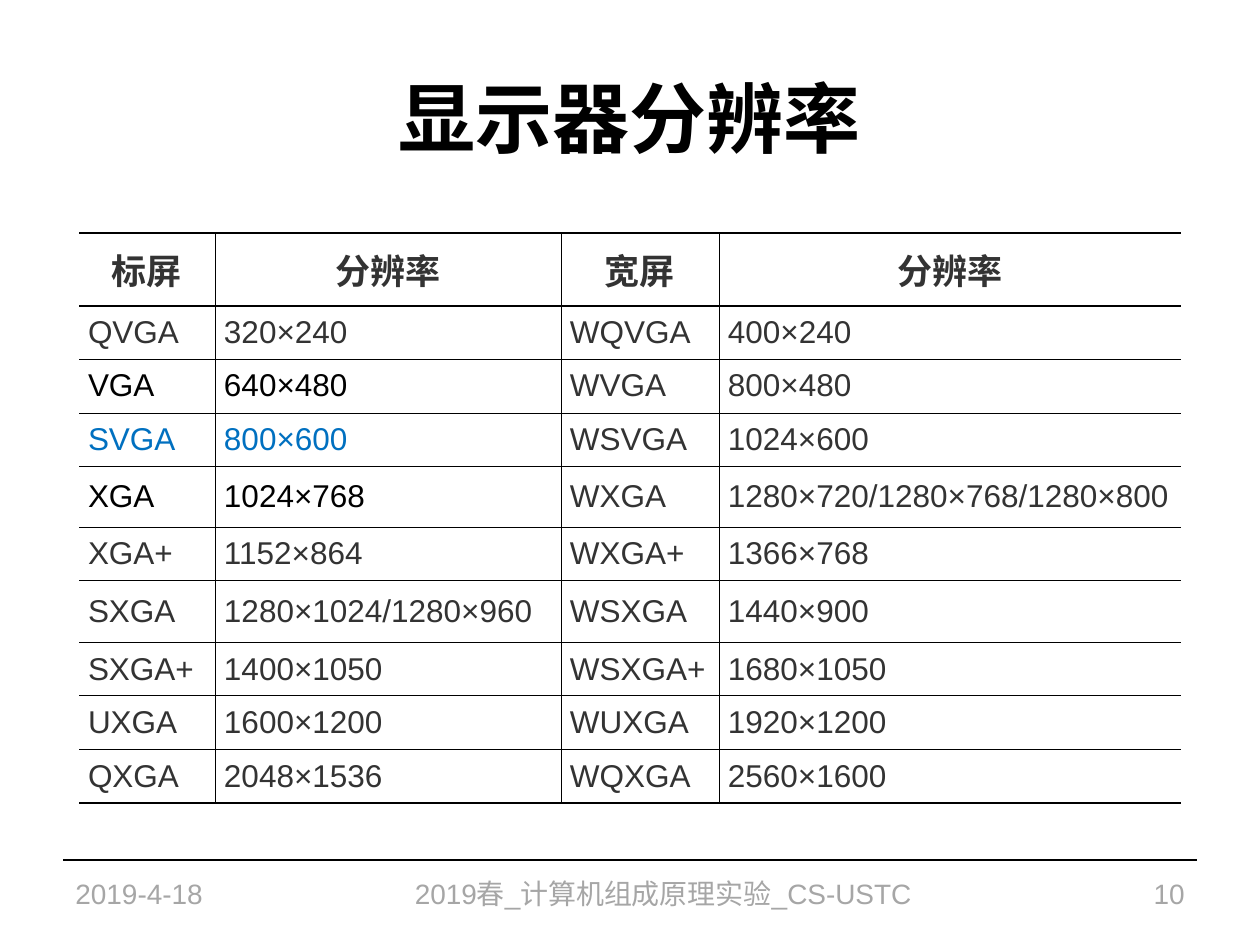
from lxml import etree
from pptx import Presentation
from pptx import util as u
from pptx.dml.color import RGBColor
from pptx.enum import shapes, text
from pptx.oxml.ns import qn

SCALE = 914400 / 126
FONT = "Arial"
COLORS = {
    "black": "000000",
    "white": "FFFFFF",
    "body": "333333",
    "blue": "0070C0",
    "footer": "A6A6A6",
}
LEFT, CENTER, RIGHT = text.PP_ALIGN.LEFT, text.PP_ALIGN.CENTER, text.PP_ALIGN.RIGHT
THIN, THICK = 0.45, 1.08

COL_WIDTHS = [136, 346, 158, 462]
ROW_HEIGHTS = [73, 53, 54, 53, 61, 54, 62, 53, 54, 53]
ROWS = [
    ["标屏", "分辨率", "宽屏", "分辨率"],
    ["QVGA", "320×240", "WQVGA", "400×240"],
    ["VGA", "640×480", "WVGA", "800×480"],
    ["SVGA", "800×600", "WSVGA", "1024×600"],
    ["XGA", "1024×768", "WXGA", "1280×720/1280×768/1280×800"],
    ["XGA+", "1152×864", "WXGA+", "1366×768"],
    ["SXGA", "1280×1024/1280×960", "WSXGA", "1440×900"],
    ["SXGA+", "1400×1050", "WSXGA+", "1680×1050"],
    ["UXGA", "1600×1200", "WUXGA", "1920×1200"],
    ["QXGA", "2048×1536", "WQXGA", "2560×1600"],
]
STANDARD_COLORS = {"VGA": "black", "SVGA": "blue", "XGA": "black"}
FOOTERS = [
    (63, 294, "2019-4-18", LEFT),
    (357, 620, "2019春_计算机组成原理实验_CS-USTC ", CENTER),
    (977, 220, "10", RIGHT),
]


def px(n):
    return u.Emu(round(n * SCALE))


def rgb(name):
    return RGBColor.from_string(COLORS[name])


def write(tf, content, size, color, align=LEFT, bold=False):
    p = tf.paragraphs[0]
    p.alignment = align
    r = p.add_run()
    r.text = content
    r.font.name = FONT
    r.font.size = u.Pt(size)
    r.font.bold = bold
    r.font.color.rgb = rgb(color)


def add_text(s, box, content, size, color, align, bold=False):
    sp = s.shapes.add_textbox(*map(px, box))
    tf = sp.text_frame
    tf.word_wrap = True
    tf.vertical_anchor = text.MSO_ANCHOR.MIDDLE
    write(tf, content, size, color, align, bold)


def add_rule(s, x1, x2, y):
    sp = s.shapes.add_connector(shapes.MSO_CONNECTOR.STRAIGHT, px(x1), px(y), px(x2), px(y))
    sp.line.color.rgb = rgb("black")
    sp.line.width = u.Pt(0.75)
    etree.SubElement(sp._element.spPr, qn("a:effectLst"))


def set_borders(cell, widths):
    tc_pr = cell._tc.get_or_add_tcPr()
    for i, (side, width) in enumerate(widths.items()):
        ln = etree.Element(qn(f"a:ln{side}"), w=str(u.Pt(width)))
        if width:
            fill = etree.SubElement(ln, qn("a:solidFill"))
            etree.SubElement(fill, qn("a:srgbClr"), val=COLORS["black"])
        else:
            etree.SubElement(ln, qn("a:noFill"))
        tc_pr.insert(i, ln)


def format_cell(cell, row, col):
    cell.fill.solid()
    cell.fill.fore_color.rgb = rgb("white")
    cell.vertical_anchor = text.MSO_ANCHOR.MIDDLE
    cell.margin_left = cell.margin_right = px(9)
    cell.margin_top = cell.margin_bottom = px(6)
    set_borders(cell, {
        "L": THIN if col else 0,
        "R": THIN if col < len(COL_WIDTHS) - 1 else 0,
        "T": THICK if row < 2 else THIN,
        "B": THICK if row in (0, len(ROWS) - 1) else THIN,
    })


def add_resolutions(s, x, y):
    frame = s.shapes.add_table(len(ROWS), len(COL_WIDTHS), px(x), px(y),
                               px(sum(COL_WIDTHS)), px(sum(ROW_HEIGHTS)))
    table = frame.table
    table.first_row = table.horz_banding = False
    for column, width in zip(table.columns, COL_WIDTHS):
        column.width = px(width)
    for row, height in zip(table.rows, ROW_HEIGHTS):
        row.height = px(height)
    for i, values in enumerate(ROWS):
        for j, value in enumerate(values):
            cell = table.cell(i, j)
            format_cell(cell, i, j)
            if i == 0:
                write(cell.text_frame, value, 20, "body", CENTER, True)
            else:
                color = STANDARD_COLORS.get(values[0], "body") if j < 2 else "body"
                write(cell.text_frame, value, 18, color)


def main():
    prs = Presentation()
    prs.slide_width, prs.slide_height = px(1260), px(945)
    s = prs.slides.add_slide(prs.slide_layouts[6])
    add_rule(s, 63, 1197, 860)
    add_text(s, (63, 38, 1134, 157), "显示器分辨率", 44, "black", CENTER, True)
    add_resolutions(s, 79, 233)
    for x, width, content, align in FOOTERS:
        add_text(s, (x, 860, width, 66), content, 16, "footer", align)
    prs.save("out.pptx")


if __name__ == "__main__":
    main()
